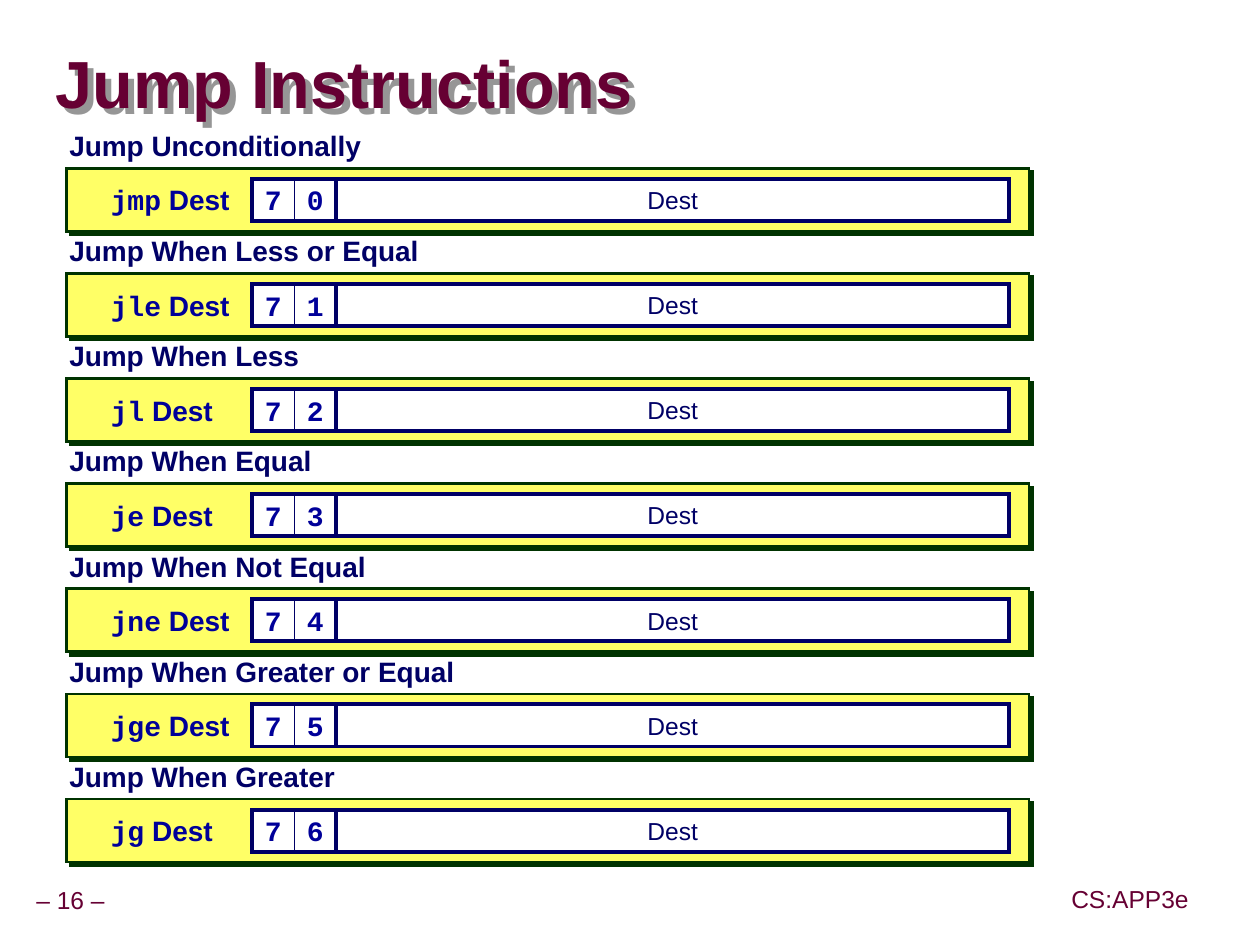
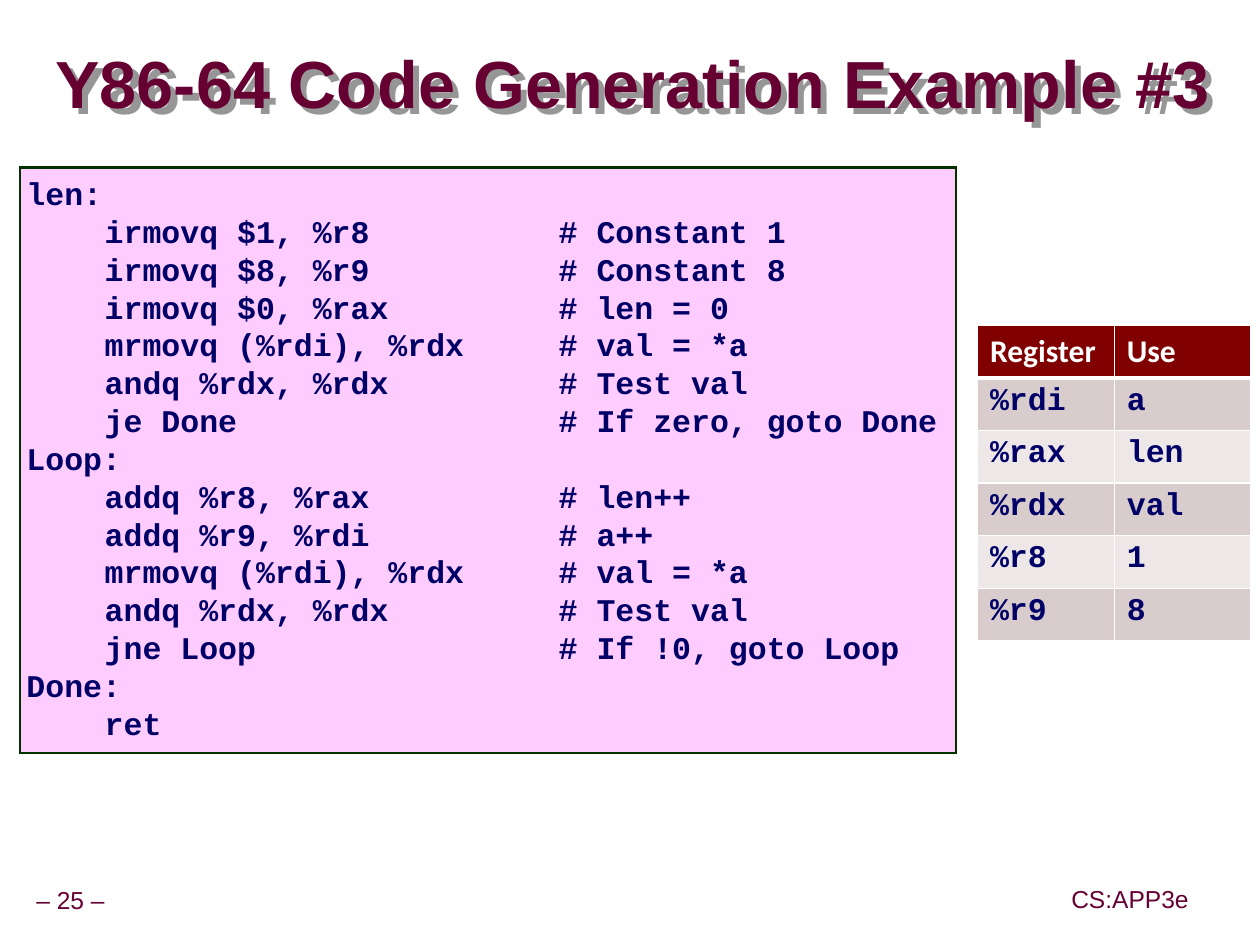
from lxml import etree
from pptx import Presentation
from pptx.dml.color import RGBColor
from pptx.enum import shapes, text
from pptx.oxml import ns
from pptx.util import Inches, Pt

MAROON = RGBColor(0x66, 0x00, 0x33)
NAVY = RGBColor(0x00, 0x00, 0x66)
BLUE = RGBColor(0x00, 0x00, 0x99)
GREEN = RGBColor(0x00, 0x33, 0x00)
YELLOW = RGBColor(0xFF, 0xFF, 0x66)
PINK = RGBColor(0xFF, 0xCC, 0xFF)
WHITE = RGBColor(0xFF, 0xFF, 0xFF)
GRAY = RGBColor(0x96, 0x96, 0x96)
HEADER = RGBColor(0x80, 0x00, 0x00)
BANDS = (RGBColor(0xD8, 0xCC, 0xCC), RGBColor(0xED, 0xE7, 0xE7))
SANS, MONO, TABLE_FONT = "Arial", "Courier New", "Calibri"
LEFT, CENTER = text.PP_ALIGN.LEFT, text.PP_ALIGN.CENTER
TOP, MIDDLE = text.MSO_ANCHOR.TOP, text.MSO_ANCHOR.MIDDLE


def add_box(parent, at, lines=(), size=16, color=NAVY, bold=True, fill=None, line=None,
            align=LEFT, anchor=MIDDLE, inset=(0.1, 0.05), spacing=None, wrap=False):
    """Add a rectangle if line is given, else a text box; lines hold (words, font) runs."""
    place = [Inches(length) for length in at]
    if line:
        box = parent.add_shape(shapes.MSO_SHAPE.RECTANGLE, *place)
        box.line.color.rgb, box.line.width = line[0], Pt(line[1])
        outline = box._element.spPr.find(ns.qn("a:ln"))
        etree.SubElement(outline, ns.qn("a:miter"), lim="800000")
    else:
        box = parent.add_textbox(*place)
    box.shadow.inherit = False
    if fill is None:
        box.fill.background()
    else:
        box.fill.solid()
        box.fill.fore_color.rgb = fill
    frame = box.text_frame
    frame.word_wrap, frame.vertical_anchor = wrap, anchor
    frame.margin_left = frame.margin_right = Inches(inset[0])
    frame.margin_top = frame.margin_bottom = Inches(inset[1])
    for number, runs in enumerate(lines):
        para = frame.add_paragraph() if number else frame.paragraphs[0]
        para.alignment = align
        if spacing:
            para.line_spacing = spacing
        for words, font in runs:
            span = para.add_run()
            span.text = words
            span.font.name, span.font.size, span.font.bold = font, Pt(size), bold
            span.font.color.rgb = color
    return box


def cast_shadow(box, color, distance):
    """Give the box a hard shadow towards the lower right."""
    effects = box._element.spPr.find(ns.qn("a:effectLst"))
    shadow = etree.SubElement(effects, ns.qn("a:outerShdw"), dist=str(Pt(distance)),
                              dir="2700000", algn="ctr", rotWithShape="0")
    etree.SubElement(shadow, ns.qn("a:srgbClr"), val=str(color))


deck = Presentation()
deck.slide_width, deck.slide_height = Inches(9.99), Inches(7.49)

# Shared title and footers
pages = []
for title, number in (("Jump Instructions", 16), ("Y86-64 Code Generation Example #3", 25)):
    page = deck.slides.add_slide(deck.slide_layouts[6])
    pages.append(page)
    for words, at in ((f"– {number} –", (0.23, 6.99, 0.66, 0.31)),
                      ("CS:APP3e", (8.44, 6.98, 1.04, 0.32))):
        add_box(page.shapes, at, [[(words, SANS)]], 14, MAROON, False,
                align=CENTER, inset=(0.05, 0.05), spacing=0.9)
    heading = add_box(page.shapes, (0.44, 0.27, 9.52, 0.85), [[(title, SANS)]], 38, MAROON,
                      inset=(0, 0), spacing=0.87, wrap=True)
    cast_shadow(heading, GRAY, 5)
jump_page, code_page = pages

# Jump instructions, one encoding band each
JUMPS = (
    ("jmp", "Jump Unconditionally", 2.44),
    ("jle", "Jump When Less or Equal", 2.88),
    ("jl", "Jump When Less", 1.93),
    ("je", "Jump When Equal", 2.03),
    ("jne", "Jump When Not Equal", 2.46),
    ("jge", "Jump When Greater or Equal", 3.16),
    ("jg", "Jump When Greater", 2.21),
)
BYTE_LEFT, NIBBLE, PITCH = 2, 1 / 3, 5 / 6
for code, (name, meaning, width) in enumerate(JUMPS):
    top = 1 + code * PITCH
    field_top = top + PITCH / 2
    band = add_box(jump_page.shapes, (0.53, top + NIBBLE, 7.63, 0.5),
                   fill=YELLOW, line=(GREEN, 1.5))
    cast_shadow(band, GREEN, 2.8)
    add_box(jump_page.shapes, (0.78, field_top, 1.22, NIBBLE),
            [[(name, MONO), (" Dest", SANS)]], color=BLUE)
    opcode = jump_page.shapes.add_group_shape().shapes
    for column, digit in enumerate((7, code)):
        add_box(opcode, (BYTE_LEFT + column * NIBBLE, field_top, NIBBLE, NIBBLE),
                [[(str(digit), MONO)]], color=BLUE, fill=WHITE, line=(NAVY, 0.5), align=CENTER)
    add_box(opcode, (BYTE_LEFT, field_top, 2 * NIBBLE, NIBBLE), line=(NAVY, 2.25))
    add_box(jump_page.shapes, (0.5, top, width, 0.34), [[(meaning, SANS)]],
            anchor=TOP, inset=(0.05, 0.05), spacing=0.9)
    add_box(jump_page.shapes, (BYTE_LEFT + 2 * NIBBLE, field_top, 16 * NIBBLE, NIBBLE),
            [[("Dest", SANS)]], 14, bold=False, fill=WHITE, line=(NAVY, 2.25), align=CENTER)

# Assembly listing, with tab stops for instructions and remarks
LISTING = (
    "len:",
    "\tirmovq $1, %r8\t# Constant 1",
    "\tirmovq $8, %r9\t# Constant 8",
    "\tirmovq $0, %rax\t# len = 0",
    "\tmrmovq (%rdi), %rdx\t# val = *a",
    "\tandq %rdx, %rdx\t# Test val",
    "\tje Done\t# If zero, goto Done",
    "Loop:",
    "\taddq %r8, %rax\t# len++",
    "\taddq %r9, %rdi\t# a++",
    "\tmrmovq (%rdi), %rdx\t# val = *a",
    "\tandq %rdx, %rdx\t# Test val",
    "\tjne Loop\t# If !0, goto Loop",
    "Done:",
    "\tret",
)
listing = add_box(code_page.shapes, (0.16, 1.33, 7.42, 4.64), [[(row, MONO)] for row in LISTING],
                  18, fill=PINK, line=(GREEN, 1.5), anchor=TOP, inset=(0.05, 0.05), wrap=True)
for para in listing.text_frame.paragraphs:
    stops = etree.SubElement(para._p.get_or_add_pPr(), ns.qn("a:tabLst"))
    for stop in (0.62, 4.22):
        etree.SubElement(stops, ns.qn("a:tab"), pos=str(Inches(stop)), algn="l")

# Register table
REGISTERS = (("Register", "Use"), ("%rdi", "a"), ("%rax", "len"),
             ("%rdx", "val"), ("%r8", "1"), ("%r9", "8"))
TABLE_WIDTH, TABLE_HEIGHT = 2.17, 2.5
table = code_page.shapes.add_table(len(REGISTERS), 2, Inches(7.75), Inches(2.58),
                                   Inches(TABLE_WIDTH), Inches(TABLE_HEIGHT)).table
for column in table.columns:
    column.width = Inches(TABLE_WIDTH / 2)
for row, entries in enumerate(REGISTERS):
    table.rows[row].height = Inches(TABLE_HEIGHT / len(REGISTERS))
    for column, words in enumerate(entries):
        cell = table.cell(row, column)
        cell.vertical_anchor = TOP if row else MIDDLE
        for side in "LRTB":
            heavy = (row, side) in ((0, "B"), (1, "T"))
            border = etree.SubElement(cell._tc.get_or_add_tcPr(), ns.qn(f"a:ln{side}"),
                                      w=str(Pt(3 if heavy else 1)))
            paint = etree.SubElement(border, ns.qn("a:solidFill"))
            etree.SubElement(paint, ns.qn("a:srgbClr"), val=str(WHITE))
        cell.fill.solid()
        cell.fill.fore_color.rgb = BANDS[(row - 1) % 2] if row else HEADER
        para = cell.text_frame.paragraphs[0]
        para.alignment, para.line_spacing = LEFT, 0.9
        span = para.add_run()
        span.text = words
        span.font.name = MONO if row else TABLE_FONT
        span.font.size, span.font.bold = Pt(18), True
        span.font.color.rgb = NAVY if row else WHITE

deck.save("out.pptx")
